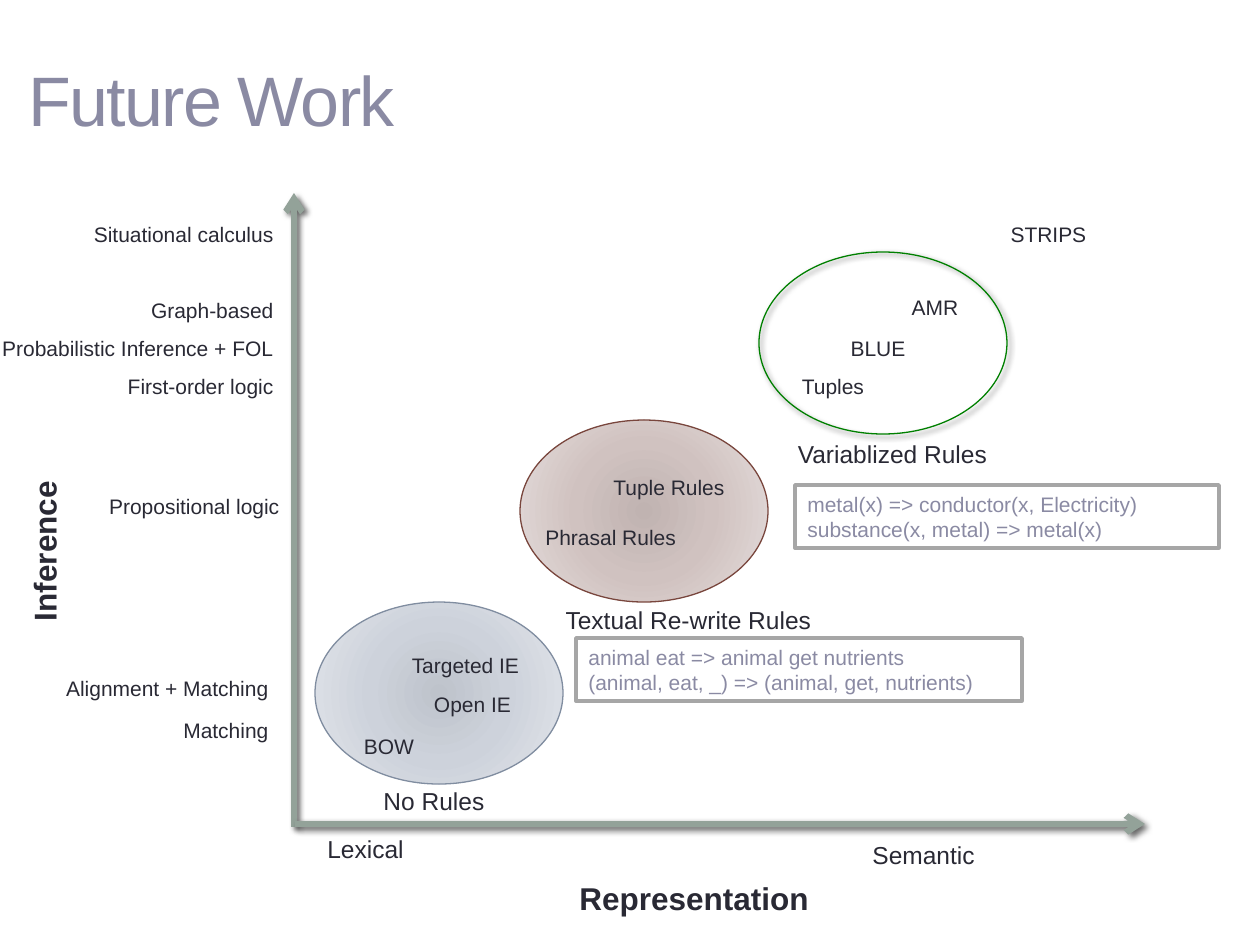
import pptx
import pptx.dml.color
import pptx.enum.shapes
import pptx.enum.text
import pptx.oxml
import pptx.oxml.ns
import pptx.util

EMU_PER_PX = 914400 / 126
FONT = "Arial"
ALIGN = pptx.enum.text.PP_ALIGN
SHAPE = pptx.enum.shapes.MSO_SHAPE
COLORS = {
    "text": "292934",
    "muted": "8A8AA3",
    "axis": "93A299",
    "frame": "A6A6A6",
    "white": "FFFFFF",
    "green": "008000",
    "red": "79463D",
    "blue": "808DA0",
}
RED_STOPS = {0: "C0B3B1", 45: "D0C2C0", 100: "E5DEDD"}
BLUE_STOPS = {0: "BEC3CB", 45: "CDD2DB", 100: "E3E6EB"}
LABEL_HEIGHTS = {12: 33, 14: 37, 18: 48}
ELLIPSE_SIZE = (248, 182)

# text, left, top, width
INFERENCE_LEVELS = [
    ("Situational calculus", 45, 218, 241),
    ("Graph-based", -30, 294, 316),
    ("Probabilistic Inference + FOL", -30, 332, 316),
    ("First-order logic", -30, 370, 316),
    ("Propositional logic", -24, 490, 316),
    ("Alignment + Matching", 20, 672, 261),
    ("Matching", 127, 714, 154),
]
SYSTEMS = [
    ("STRIPS", 959, 218, 179),
    ("AMR", 882, 291, 106),
    ("BLUE", 825, 332, 106),
    ("Tuples", 770, 370, 126),
    ("Targeted IE", 393, 649, 145),
    ("Open IE", 400, 688, 145),
    ("BOW", 336, 730, 106),
]
RULE_KINDS = [
    ("Variablized Rules", 766, 435, 253),
    ("Textual Re-write Rules", 538, 601, 301),
    ("No Rules", 347, 782, 174),
]
SCALE_ENDS = [("Lexical", 315, 830, 141), ("Semantic", 860, 836, 160)]


def px(*lengths):
    return [pptx.util.Emu(round(length * EMU_PER_PX)) for length in lengths]


def rgb(name):
    return pptx.dml.color.RGBColor.from_string(COLORS[name])


def set_font(para, size, color, bold=False):
    para.font.name = FONT
    para.font.size = pptx.util.Pt(size)
    para.font.bold = bold
    para.font.color.rgb = rgb(color)


def fill_text(shape, lines, size, color, aligns, bold=False):
    """Write one paragraph per line, centred vertically in the shape."""
    frame = shape.text_frame
    frame.word_wrap = True
    frame.vertical_anchor = pptx.enum.text.MSO_ANCHOR.MIDDLE
    frame.margin_top = frame.margin_bottom = 0
    frame.text = "\n".join(lines)
    for para, align in zip(frame.paragraphs, aligns):
        para.alignment = align
        set_font(para, size, color, bold)
    return frame


def add_label(page, text, left, top, width, size=12, align=ALIGN.CENTER, bold=False):
    box = page.shapes.add_textbox(*px(left, top, width, LABEL_HEIGHTS[size]))
    fill_text(box, [text], size, "text", [align], bold)
    return box


def add_shadow(shape):
    shape._element.spPr.append(pptx.oxml.parse_xml(
        f'<a:effectLst {pptx.oxml.ns.nsdecls("a")}>'
        '<a:outerShdw blurRad="38100" dist="25400" dir="2700000" rotWithShape="0">'
        '<a:srgbClr val="000000"><a:alpha val="60000"/></a:srgbClr>'
        '</a:outerShdw></a:effectLst>'))


def add_axis(page, start, end):
    axis = page.shapes.add_connector(
        pptx.enum.shapes.MSO_CONNECTOR.STRAIGHT, *px(*start, *end))
    axis.line.color.rgb = rgb("axis")
    axis.line.width = pptx.util.Pt(3.5)
    axis.line._get_or_add_ln().append(pptx.oxml.parse_xml(
        f'<a:tailEnd {pptx.oxml.ns.nsdecls("a")} type="arrow"/>'))
    add_shadow(axis)


def add_ellipse(page, left, top, line, stops=None):
    """Draw an ellipse with a radial gradient, or hollow with a shadow."""
    ellipse = page.shapes.add_shape(SHAPE.OVAL, *px(left, top, *ELLIPSE_SIZE))
    if stops:
        stop_xml = "".join(
            f'<a:gs pos="{pos * 1000}"><a:srgbClr val="{color}"/></a:gs>'
            for pos, color in stops.items())
        ellipse._element.spPr.append(pptx.oxml.parse_xml(
            f'<a:gradFill {pptx.oxml.ns.nsdecls("a")} rotWithShape="1">'
            f'<a:gsLst>{stop_xml}</a:gsLst><a:path path="circle">'
            '<a:fillToRect l="100000" t="100000" r="100000" b="100000"/>'
            '</a:path></a:gradFill>'))
    else:
        ellipse.fill.background()
    ellipse.line.color.rgb = rgb(line)
    ellipse.line.width = pptx.util.Pt(0.75)
    if stops:
        ellipse.shadow.inherit = False
    else:
        add_shadow(ellipse)


def add_example(page, lines, left, top, width):
    box = page.shapes.add_shape(SHAPE.RECTANGLE, *px(left, top, width, 63))
    box.shadow.inherit = False
    box.fill.solid()
    box.fill.fore_color.rgb = rgb("white")
    box.line.color.rgb = rgb("frame")
    box.line.width = pptx.util.Pt(2.08)
    fill_text(box, lines, 12, "muted", [ALIGN.LEFT] * len(lines))


def add_rewrite_systems(page):
    box = page.shapes.add_textbox(*px(533, 474, 204, 77))
    frame = fill_text(box, ["Tuple Rules", "Phrasal Rules"], 12, "text",
                      [ALIGN.RIGHT, ALIGN.LEFT])
    frame.paragraphs[1].space_before = pptx.util.Pt(14)


def set_title(page, text):
    title = page.shapes.title
    title.left, title.top, title.width, title.height = px(16, 43, 1205, 112)
    frame = fill_text(title, [text], 40, "muted", [ALIGN.LEFT])
    frame.paragraphs[0].runs[0].font._element.set("spc", "-100")


def main():
    deck = pptx.Presentation()
    deck.slide_width, deck.slide_height = px(1260, 945)
    page = deck.slides.add_slide(deck.slide_layouts[5])
    set_title(page, "Future Work")

    add_axis(page, (294, 827), (294, 193))
    add_axis(page, (295, 824), (1145, 824))
    add_label(page, "Representation", 546, 874, 296, 18, bold=True)
    add_label(page, "Inference", -74, 527, 236, 18, bold=True).rotation = 270

    add_example(page, ["animal eat => animal get nutrients",
                       "(animal, eat, _) => (animal, get, nutrients)"], 576, 638, 446)
    add_example(page, ["metal(x) => conductor(x, Electricity)",
                       "substance(x, metal) => metal(x)"], 795, 485, 424)

    add_ellipse(page, 520, 420, "red", RED_STOPS)
    add_ellipse(page, 759, 252, "green")
    add_ellipse(page, 315, 602, "blue", BLUE_STOPS)

    for level in INFERENCE_LEVELS:
        add_label(page, *level, align=ALIGN.RIGHT)
    for system in SYSTEMS:
        add_label(page, *system)
    add_rewrite_systems(page)
    for kind in RULE_KINDS:
        add_label(page, *kind, size=14)
    for end in SCALE_ENDS:
        add_label(page, *end, size=14, align=ALIGN.LEFT)

    deck.save("out.pptx")


if __name__ == "__main__":
    main()
